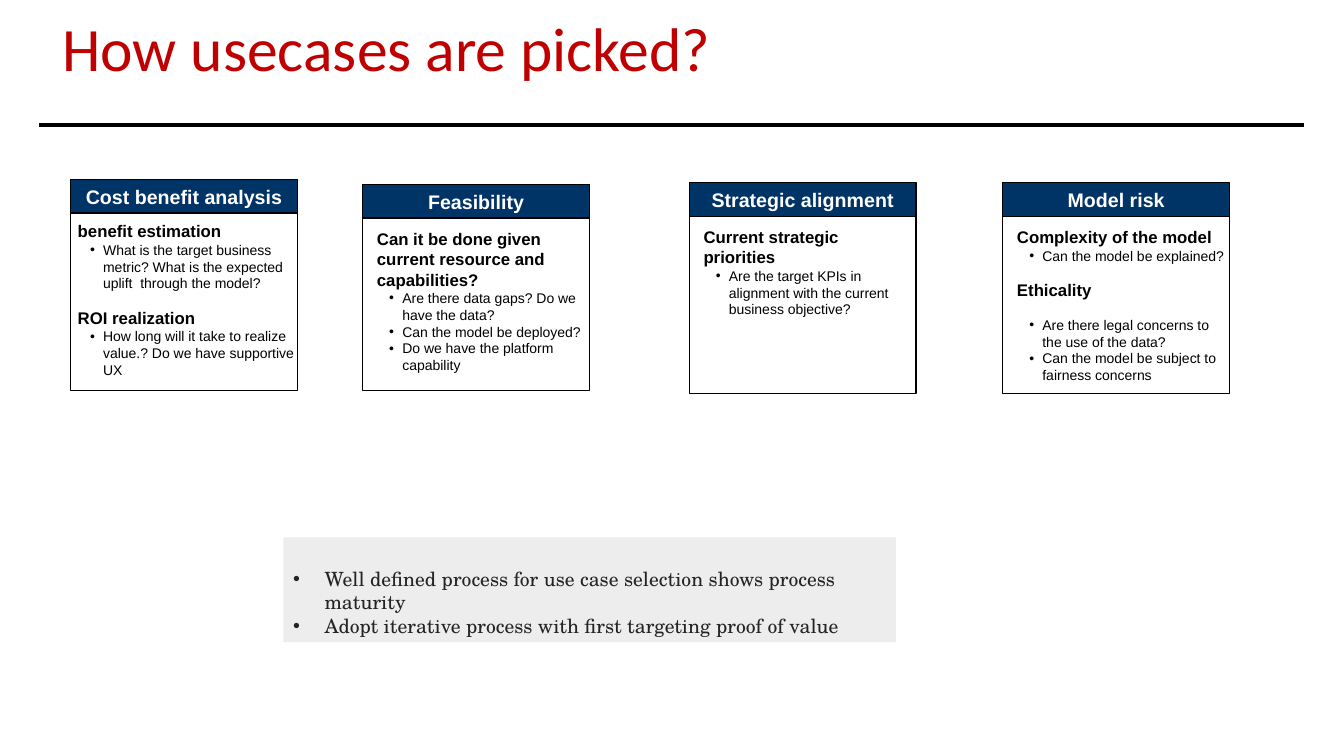
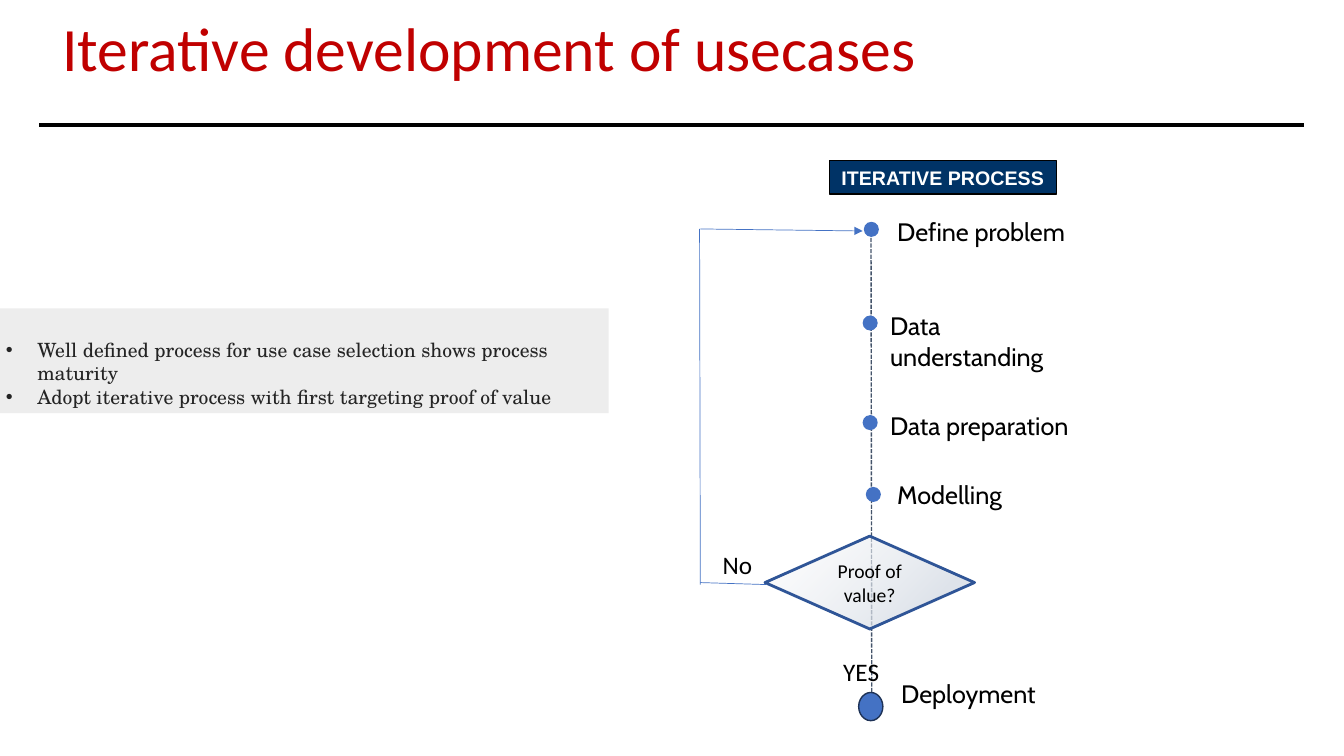
from lxml.etree import SubElement
from pptx import Presentation
from pptx.dml.color import RGBColor
from pptx.enum.dml import MSO_LINE
from pptx.enum.shapes import MSO_CONNECTOR, MSO_SHAPE
from pptx.enum.text import MSO_ANCHOR, PP_ALIGN
from pptx.oxml.ns import qn
from pptx.util import Cm, Pt

# Shared colours and text styles
COLOURS = {
    "red": "C00000", "navy": "003366", "white": "FFFFFF", "black": "000000",
    "grey": "EDEDED", "ink": "242424", "blue": "4472C4", "edge": "1E3256",
    "slate": "44546A", "diamond_edge": "2F5597", "diamond_fill": "D6DCE5",
}
STYLES = {
    "title": {"name": "Calibri", "size": Pt(44), "bold": False},
    "header": {"name": "Arial", "size": Pt(14), "bold": True},
    "topic": {"name": "Arial", "size": Pt(12), "bold": True},
    "question": {"name": "Arial", "size": Pt(10), "bold": False},
    "note": {"name": "TeX Gyre Schola", "size": Pt(14), "bold": False},
    "step": {"name": "Cabin", "size": Pt(18), "bold": False},
    "branch": {"name": "Calibri", "size": Pt(18), "bold": False},
    "decision": {"name": "Calibri", "size": Pt(14), "bold": False},
}
STYLE_COLOURS = {"title": "red", "header": "white", "note": "ink"}
HANGING = {"question": (0.64, 0.33), "note": (0.79, 0.79)}
CENTRED = ("header", "decision")
GAP = 11.5


def add_box(slide, kind, box, fill, line=None, width=1):
    shape = slide.shapes.add_shape(kind, *map(Cm, box))
    shape.shadow.inherit = False
    shape.fill.solid()
    shape.fill.fore_color.rgb = RGBColor.from_string(COLOURS[fill])
    if line:
        shape.line.color.rgb = RGBColor.from_string(COLOURS[line])
        shape.line.width = Pt(width)
    else:
        shape.line.fill.background()
    return shape


def write(frame, entries, insets=(0.25, 0.13, 0.25, 0.13), anchor=MSO_ANCHOR.TOP, wrap=True):
    """Each entry is (style, text) or (style, text, space before in points)."""
    frame.word_wrap = wrap
    frame.vertical_anchor = anchor
    for side, inset in zip(("left", "top", "right", "bottom"), insets):
        setattr(frame, f"margin_{side}", Cm(inset))
    for index, (style, text, *space) in enumerate(entries):
        paragraph = frame.add_paragraph() if index else frame.paragraphs[0]
        paragraph.alignment = PP_ALIGN.CENTER if style in CENTRED else PP_ALIGN.LEFT
        paragraph.space_before = Pt(space[0] if space else 0)
        run = paragraph.add_run()
        run.text = text
        for attribute, value in STYLES[style].items():
            setattr(run.font, attribute, value)
        colour = STYLE_COLOURS.get(style, "black")
        run.font.color.rgb = RGBColor.from_string(COLOURS[colour])
        if style in HANGING:
            margin, hang = HANGING[style]
            properties = paragraph._p.get_or_add_pPr()
            properties.set("marL", str(Cm(margin)))
            properties.set("indent", str(-Cm(hang)))
            SubElement(properties, qn("a:buFont"), typeface="Arial")
            SubElement(properties, qn("a:buChar"), char="•")


presentation = Presentation()
presentation.slide_width, presentation.slide_height = Cm(33.87), Cm(19.05)

# Slides with their titles
slides = []
for title in ("How usecases are picked?", "Iterative development of usecases"):
    slide = presentation.slides.add_slide(presentation.slide_layouts[5])
    place = {"left": 1.32, "top": -0.53, "width": 29.21, "height": 3.68}
    for attribute, value in place.items():
        setattr(slide.shapes.title, attribute, Cm(value))
    write(slide.shapes.title.text_frame, [("title", title)], anchor=MSO_ANCHOR.MIDDLE)
    slide.shapes.title.text_frame.paragraphs[0].line_spacing = 0.9
    slides.append(slide)
selection, process = slides

# Title rules, process line and feedback loop: start, end, colour, width, ending
lines = [(slide, (0.99, 3.15, 32.87, 3.15), "black", 2.5, None) for slide in slides]
lines += [
    (process, (21.97, 17.86, 21.95, 5.77), "slate", 1, "dashed"),
    (process, (19.3, 14.73, 17.65, 14.68), "blue", 0.5, None),
    (process, (17.65, 14.73, 17.63, 5.77), "blue", 0.5, None),
    (process, (17.65, 5.77, 21.74, 5.82), "blue", 0.5, "arrow"),
]
for slide, ends, colour, width, ending in lines:
    connector = slide.shapes.add_connector(MSO_CONNECTOR.STRAIGHT, *map(Cm, ends))
    connector.line.color.rgb = RGBColor.from_string(COLOURS[colour])
    connector.line.width = Pt(width)
    if ending == "dashed":
        connector.line.dash_style = MSO_LINE.SQUARE_DOT
    if ending == "arrow":
        SubElement(connector.line._get_or_add_ln(), qn("a:tailEnd"), type="triangle")
    SubElement(connector._element.spPr, qn("a:effectLst"))

# Criteria cards: left, top, body height, text insets, header, body
cards = [
    (1.78, 4.52, 4.47, (0.18, 0.2), "Cost benefit analysis", [
        ("topic", "benefit estimation"),
        ("question", "What is the target business metric? What is the expected uplift  through the model?"),
        ("topic", "ROI realization", GAP),
        ("question", "How long will it take to realize value.? Do we have supportive UX"),
    ]),
    (9.14, 4.65, 4.34, (0.36, 0.27), "Feasibility", [
        ("topic", "Can it be done given current resource and capabilities?"),
        ("question", "Are there data gaps? Do we have the data?"),
        ("question", "Can the model be deployed?"),
        ("question", "Do we have the platform capability"),
    ]),
    (17.37, 4.6, 4.47, (0.36, 0.27), "Strategic alignment", [
        ("topic", "Current strategic priorities"),
        ("question", "Are the target KPIs in alignment with the current business objective?"),
    ]),
    (25.27, 4.6, 4.47, (0.36, 0.27), "Model risk", [
        ("topic", "Complexity of the model"),
        ("question", "Can the model be explained?"),
        ("topic", "Ethicality", GAP),
        ("question", "Are there legal concerns to the use of the data?", GAP),
        ("question", "Can the model be subject to fairness concerns"),
    ]),
]
headers = [(process, 20.9, 4.04, "ITERATIVE PROCESS")]
for left, top, height, insets, header, entries in cards:
    headers.append((selection, left, top, header))
    body = add_box(selection, MSO_SHAPE.RECTANGLE, (left, top + 0.85, 5.72, height), "white", "black")
    write(body.text_frame, entries, (*insets, 0.06, 0))

# Navy header bars
for slide, left, top, header in headers:
    bar = add_box(slide, MSO_SHAPE.RECTANGLE, (left, top, 5.72, 0.85), "navy", "black")
    write(bar.text_frame, [("header", header)], (0, 0, 0, 0), MSO_ANCHOR.MIDDLE, False)

# Takeaway notes
takeaways = [
    ("note", "Well defined process for use case selection shows process maturity"),
    ("note", "Adopt iterative process with first targeting proof of value"),
]
for slide, left, top in ((selection, 7.14, 13.54), (process, -0.1, 7.77)):
    note = add_box(slide, MSO_SHAPE.RECTANGLE, (left, top, 15.44, 2.64), "grey")
    write(note.text_frame, takeaways, (0.25, 0.74, 0.25, 0.13))

# Process steps: label, its left and top, marker box, marker line
steps = [
    ("Define problem", 22.53, 5.36, (21.77, 5.59, 0.38, 0.38), None),
    ("Data understanding", 22.35, 7.75, (21.74, 7.95, 0.38, 0.38), None),
    ("Data preparation", 22.35, 10.26, (21.74, 10.46, 0.38, 0.38), None),
    ("Modelling", 22.53, 12.01, (21.82, 12.27, 0.38, 0.38), None),
    ("Deployment", 22.63, 17.02, (21.64, 17.45, 0.61, 0.71), "edge"),
]
for text, left, top, marker, line in steps:
    add_box(process, MSO_SHAPE.OVAL, marker, "blue", line)
    label = process.shapes.add_textbox(Cm(left), Cm(top), Cm(5.2), Cm(0.91))
    write(label.text_frame, [("step", text)], (0.08, 0.08, 0.08, 0.08))

# Decision with a translucent gradient
decision = add_box(process, MSO_SHAPE.FLOWCHART_DECISION, (19.28, 13.51, 5.28, 2.34),
                   "white", "diamond_edge", 2)
decision.fill.gradient()
decision.fill.gradient_angle = 315
stops = ((0, "white", 46), (0.77, "diamond_fill", 77))
for stop, (position, colour, opacity) in zip(decision.fill.gradient_stops, stops):
    stop.position = position
    stop.color.rgb = RGBColor.from_string(COLOURS[colour])
    SubElement(stop._gs.find(qn("a:srgbClr")), qn("a:alpha"), val=str(opacity * 1000))
write(decision.text_frame, [("decision", "Proof of value?")], anchor=MSO_ANCHOR.MIDDLE)

# Branch labels
for text, left, top, width in (("YES", 21, 16.41, 1.42), ("No", 17.96, 13.72, 1.27)):
    branch = process.shapes.add_textbox(Cm(left), Cm(top), Cm(width), Cm(1.02))
    write(branch.text_frame, [("branch", text)], wrap=False)

presentation.save("out.pptx")
